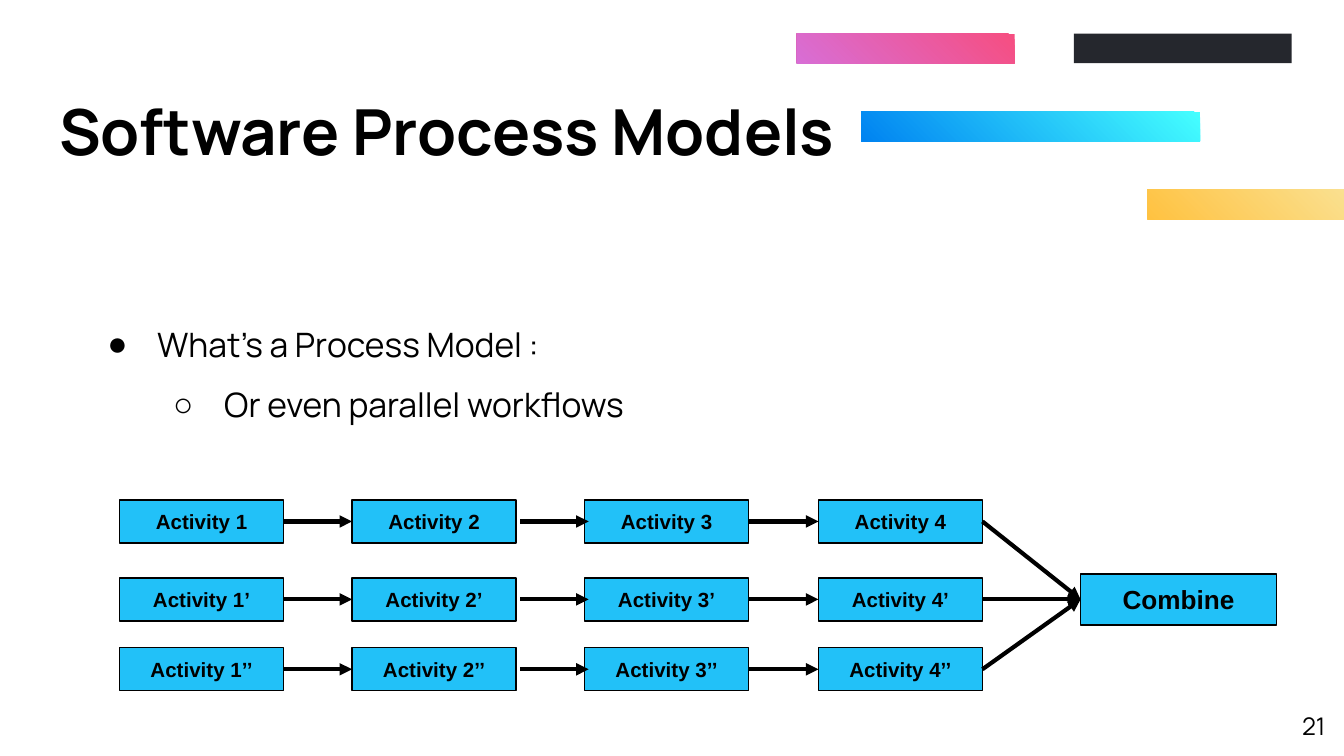
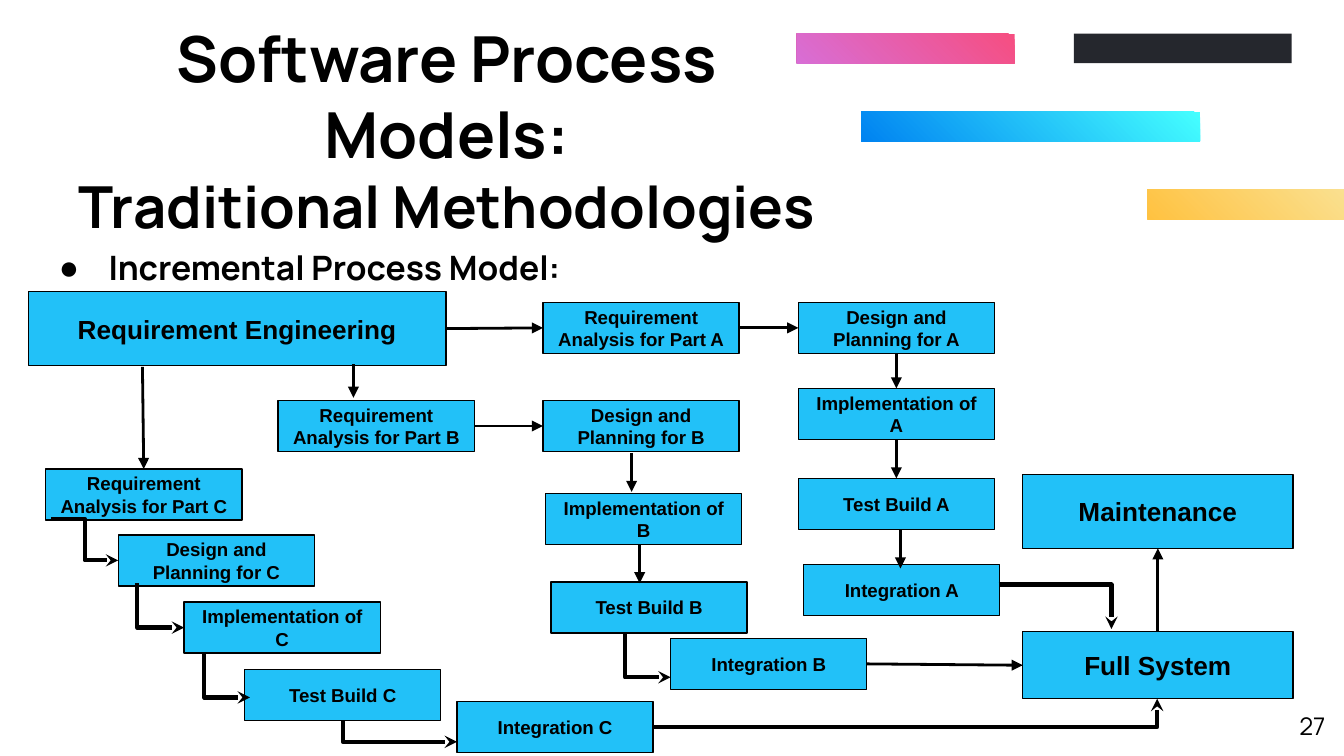
from lxml.etree import SubElement
from pptx import Presentation
from pptx.dml.color import RGBColor
from pptx.enum.shapes import MSO_CONNECTOR as Connector, MSO_SHAPE as Preset
from pptx.enum.text import MSO_ANCHOR as Anchor, MSO_AUTO_SIZE as AutoSize, PP_ALIGN as Align
from pptx.oxml.ns import qn
from pptx.util import Emu, Pt

PX = 9144
BLACK = RGBColor(0x00, 0x00, 0x00)
CHARCOAL = RGBColor(0x25, 0x27, 0x2D)
SKY = RGBColor(0x22, 0xC1, 0xF8)
CYAN = RGBColor(0x45, 0xFF, 0xFF)
BLUE = RGBColor(0x00, 0x83, 0xF1)
PINK = RGBColor(0xF6, 0x4E, 0x81)
ORCHID = RGBColor(0xD8, 0x6E, 0xD5)
CREAM = RGBColor(0xFA, 0xE0, 0x8F)
AMBER = RGBColor(0xFF, 0xC2, 0x41)

HEADING_FONT = "Manrope"
DIAGRAM_FONT = "Arial"
TITLE_BOX = (26, 25, 613, 143)
NUMBER_BOX = (936, 519, 60, 43)
BANDS = [
    ((641, 83, 252, 22), (CYAN, BLUE)),
    ((799, 25, 162, 22), (CHARCOAL,)),
    ((593, 25, 162, 22), (PINK, ORCHID)),
    ((854, 141, 146, 22), (CREAM, AMBER)),
]
BULLETS = [("●", 50, -37), ("○", 100, -38)]
TOP, LEFT, BOTTOM, RIGHT = range(4)

ACTIVITY_LEFTS = (0, 173, 346, 520)
ACTIVITY_ROWS = [(0, ""), (58, "’"), (110, "’’")]
ACTIVITY_WIDTH, ACTIVITY_HEIGHT = 122, 32
ARROW_SHIFT = 3

STEP_WIDTH, STEP_HEIGHT = 146, 38
STEPS = ["Requirement Analysis for Part {}", "Design and Planning for {}",
         "Implementation of {}", "Test Build {}", "Integration {}"]
REQUIREMENT, DESIGN, IMPLEMENTATION, TEST, INTEGRATION = range(5)
PARTS = {
    "A": [(383, 8), (573, 8), (573, 72), (573, 139), (577, 203)],
    "B": [(186, 81), (383, 81), (385, 150), (389, 216), (478, 258)],
    "C": [(13, 132), (67, 181), (116, 231), (161, 281), (319, 305)],
}
LOOSE_ARROWS = [
    ((649, 177), (649, 206)),
    ((449, 120), (449, 149)),
    ((455, 188), (455, 217)),
    ((242, 54), (242, 79)),
]
ELBOWS = [
    ((722, 218), (806, 251), 1),
    ((17, 169), (67, 200), 0.5),
    ((81, 217), (116, 250), 0),
    ((444, 254), (478, 287), 0),
    ((131, 269), (165, 302), 0),
    ((234, 319), (319, 335), 0),
    ((465, 324), (840, 303), 1),
]


def px(*lengths):
    """Turn lengths in px into a list of EMU."""
    return [Emu(length * PX) for length in lengths]


def shift(box, left, top, *size):
    """Move a place from inside a box onto the slide."""
    return (box[0] + left, box[1] + top, *size)


def style(paragraph, font_name, size, bold=False, align=None):
    """Set the font and alignment of a paragraph."""
    paragraph.alignment = align
    font = paragraph.font
    font.name, font.size, font.bold = font_name, Pt(size), bold
    font.color.rgb = BLACK


def set_frame(frame, anchor):
    """Give a text frame the common margins and wrapping."""
    frame.word_wrap = True
    frame.auto_size = AutoSize.NONE
    frame.vertical_anchor = anchor
    inset = Emu(10 * PX)
    frame.margin_left = frame.margin_right = inset
    frame.margin_top = frame.margin_bottom = inset


def add_text_box(slide, box):
    """Add an empty text box and return its text frame."""
    frame = slide.shapes.add_textbox(*px(*box)).text_frame
    set_frame(frame, Anchor.TOP)
    return frame


def add_bands(slide):
    """Draw the coloured bands at the top right."""
    for box, colours in BANDS:
        band = slide.shapes.add_shape(Preset.RECTANGLE, *px(*box))
        band.shadow.inherit = False
        band.line.fill.background()
        if len(colours) == 1:
            band.fill.solid()
            band.fill.fore_color.rgb = colours[0]
            continue
        band.fill.gradient()
        band.fill.gradient_angle = 225
        for stop, colour in zip(band.fill.gradient_stops, colours):
            stop.color.rgb = colour


def add_title(slide, box, text, second_line=None):
    """Place the title, with an optional smaller second line."""
    title = slide.shapes.title
    title.left, title.top, title.width, title.height = px(*box)
    set_frame(title.text_frame, Anchor.MIDDLE)
    paragraph = title.text_frame.paragraphs[0]
    style(paragraph, HEADING_FONT, 34, True, Align.CENTER)
    paragraph.add_run().text = text
    if second_line:
        paragraph.add_line_break()
        run = paragraph.add_run()
        run.text = second_line
        run.font.size = Pt(31)


def add_bullets(slide, box, lines, bold=False):
    """Add a bulleted list, each line one level below the last."""
    frame = add_text_box(slide, box)
    for level, text in enumerate(lines):
        paragraph = frame.add_paragraph() if level else frame.paragraphs[0]
        paragraph.text = text
        paragraph.level = level
        paragraph.line_spacing = 1.5
        character, margin, indent = BULLETS[level]
        properties = paragraph._p.get_or_add_pPr()
        properties.set("marL", str(margin * PX))
        properties.set("indent", str(indent * PX))
        colour = SubElement(properties, qn("a:buClr"))
        SubElement(colour, qn("a:srgbClr"), val=str(BLACK))
        SubElement(properties, qn("a:buFont"), typeface=DIAGRAM_FONT)
        SubElement(properties, qn("a:buChar"), char=character)
        style(paragraph, HEADING_FONT, 18, bold)


def add_page_number(slide, box, number):
    """Write the page number."""
    paragraph = add_text_box(slide, box).paragraphs[0]
    paragraph.text = str(number)
    style(paragraph, HEADING_FONT, 13, align=Align.RIGHT)


def add_node(slide, box, text, size):
    """Add a labelled diagram box."""
    node = slide.shapes.add_shape(Preset.RECTANGLE, *px(*box))
    node.shadow.inherit = False
    node.fill.solid()
    node.fill.fore_color.rgb = SKY
    node.line.color.rgb = BLACK
    node.line.width = Pt(0.75)
    set_frame(node.text_frame, Anchor.MIDDLE)
    paragraph = node.text_frame.paragraphs[0]
    paragraph.text = text
    style(paragraph, DIAGRAM_FONT, size, True, Align.CENTER)
    return node


def finish_line(connector, weight, head):
    """Set the stroke and arrowhead of a connector and drop its shadow."""
    connector.line.color.rgb = BLACK
    connector.line.width = Pt(weight)
    properties = connector._element.spPr
    SubElement(properties.find(qn("a:ln")), qn("a:tailEnd"), type=head)
    SubElement(properties, qn("a:effectLst"))


def add_arrow(slide, start, end, weight):
    """Draw a straight arrow between points or (node, side) pairs."""
    points = [place if isinstance(place[0], int) else (0, 0) for place in (start, end)]
    connector = slide.shapes.add_connector(Connector.STRAIGHT, *px(*points[0], *points[1]))
    if not isinstance(start[0], int):
        connector.begin_connect(*start)
    if not isinstance(end[0], int):
        connector.end_connect(*end)
    finish_line(connector, weight, "triangle")


def add_elbow(slide, start, end, turn):
    """Draw a bent arrow that turns at a share of its width."""
    connector = slide.shapes.add_connector(Connector.ELBOW, *px(*start, *end))
    adjustments = connector._element.spPr.find(qn("a:prstGeom")).find(qn("a:avLst"))
    SubElement(adjustments, qn("a:gd"), name="adj1", fmla=f"val {int(turn * 100000)}")
    finish_line(connector, 2.25, "stealth")


def add_parallel_workflows(slide, box):
    """Draw three rows of activities that meet in one box."""
    combine = add_node(slide, shift(box, 715, 55, 146, 38), "Combine", 14)
    for top, mark in ACTIVITY_ROWS:
        nodes = [
            add_node(slide, shift(box, left, top, ACTIVITY_WIDTH, ACTIVITY_HEIGHT),
                     f"Activity {number}{mark}", 11)
            for number, left in enumerate(ACTIVITY_LEFTS, 1)
        ]
        middle = top + ACTIVITY_HEIGHT // 2
        add_arrow(slide, (nodes[0], RIGHT), (nodes[1], LEFT), 2.25)
        add_arrow(slide,
                  shift(box, ACTIVITY_LEFTS[1] + ACTIVITY_WIDTH + ARROW_SHIFT, middle),
                  shift(box, ACTIVITY_LEFTS[2] + ARROW_SHIFT, middle), 2.25)
        add_arrow(slide, (nodes[2], RIGHT), (nodes[3], LEFT), 2.25)
        add_arrow(slide, (nodes[3], RIGHT), (combine, LEFT), 2.25)


def add_incremental_model(slide, box):
    """Draw the three increments from requirements to the full system."""
    requirements = add_node(slide, shift(box, 0, 0, 311, 55), "Requirement Engineering", 14)
    system = add_node(slide, shift(box, 740, 253, 201, 50), "Full System", 14)
    maintenance = add_node(slide, shift(box, 740, 136, 201, 55), "Maintenance", 14)
    part_a, part_b, part_c = [
        [add_node(slide, shift(box, *place, STEP_WIDTH, STEP_HEIGHT), step.format(part), 10)
         for step, place in zip(STEPS, places)]
        for part, places in PARTS.items()
    ]
    joined_arrows = [
        ((requirements, RIGHT), (part_a[REQUIREMENT], LEFT)),
        ((part_a[REQUIREMENT], RIGHT), (part_a[DESIGN], LEFT)),
        ((part_a[DESIGN], BOTTOM), (part_a[IMPLEMENTATION], TOP)),
        ((part_a[IMPLEMENTATION], BOTTOM), (part_a[TEST], TOP)),
        ((part_b[REQUIREMENT], RIGHT), (part_b[DESIGN], LEFT)),
        ((part_b[INTEGRATION], RIGHT), (system, LEFT)),
        (shift(box, 85, 56), (part_c[REQUIREMENT], TOP)),
        ((system, TOP), (maintenance, BOTTOM)),
    ]
    loose_arrows = [(shift(box, *start), shift(box, *end)) for start, end in LOOSE_ARROWS]
    for start, end in joined_arrows + loose_arrows:
        add_arrow(slide, start, end, 1.5)
    for start, end, turn in ELBOWS:
        add_elbow(slide, shift(box, *start), shift(box, *end), turn)


def add_base_slide(presentation, number, *title_lines):
    """Add a slide with the bands, title and page number."""
    slide = presentation.slides.add_slide(presentation.slide_layouts[5])
    add_bands(slide)
    add_title(slide, TITLE_BOX, *title_lines)
    add_page_number(slide, NUMBER_BOX, number)
    return slide


def main():
    """Build and save the presentation."""
    presentation = Presentation()
    presentation.slide_width, presentation.slide_height = px(1000, 562.5)

    slide = add_base_slide(presentation, 21, "Software Process Models")
    add_bullets(slide, (57, 216, 859, 82),
                ["What’s a Process Model :", "Or even parallel workflows"])
    add_parallel_workflows(slide, (89, 372, 861, 142))

    slide = add_base_slide(presentation, 27, "Software Process Models:", "Traditional Methodologies")
    add_bullets(slide, (21, 159, 423, 56), ["Incremental Process Model:"], bold=True)
    add_incremental_model(slide, (21, 217, 941, 343))

    presentation.save("out.pptx")


if __name__ == "__main__":
    main()
